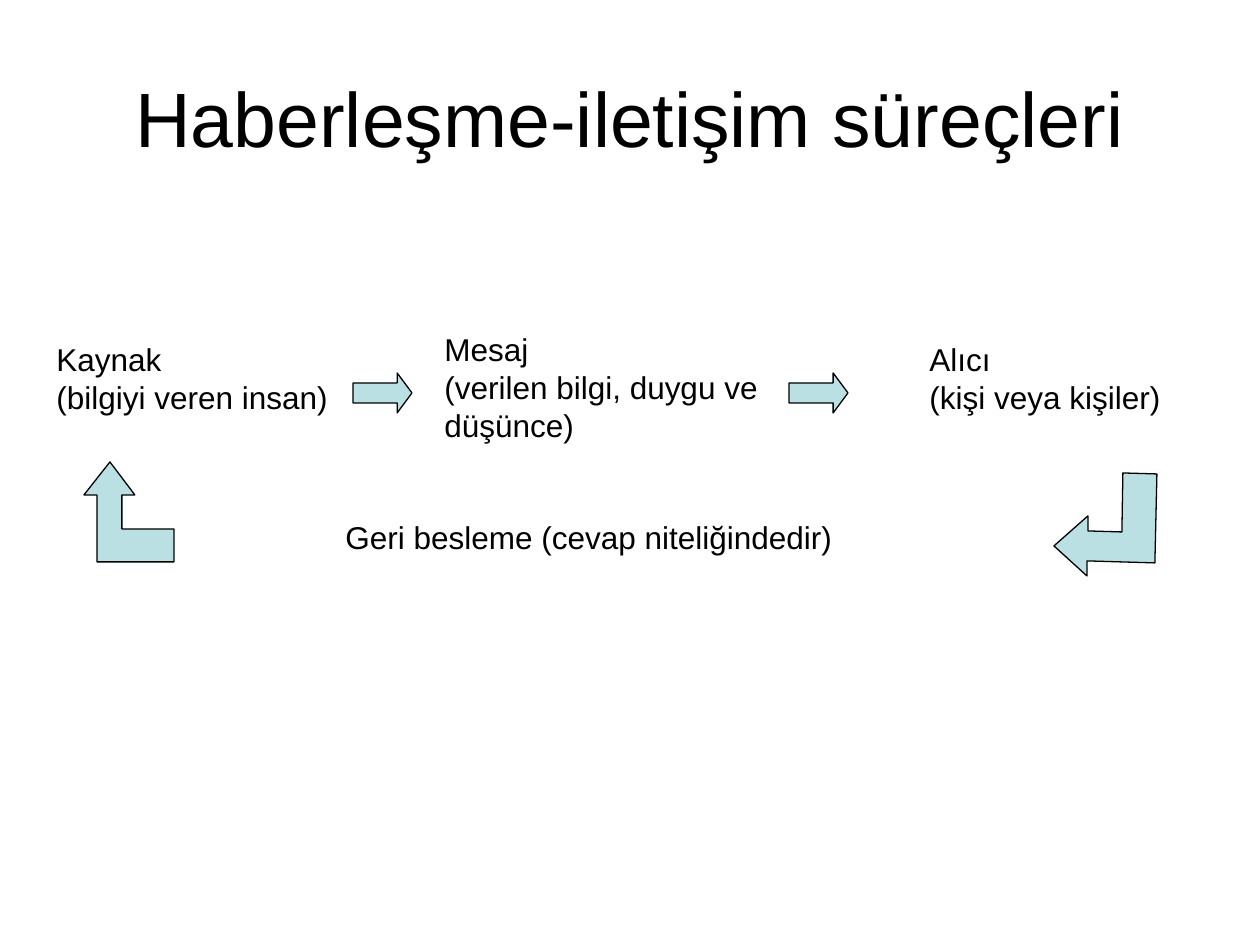
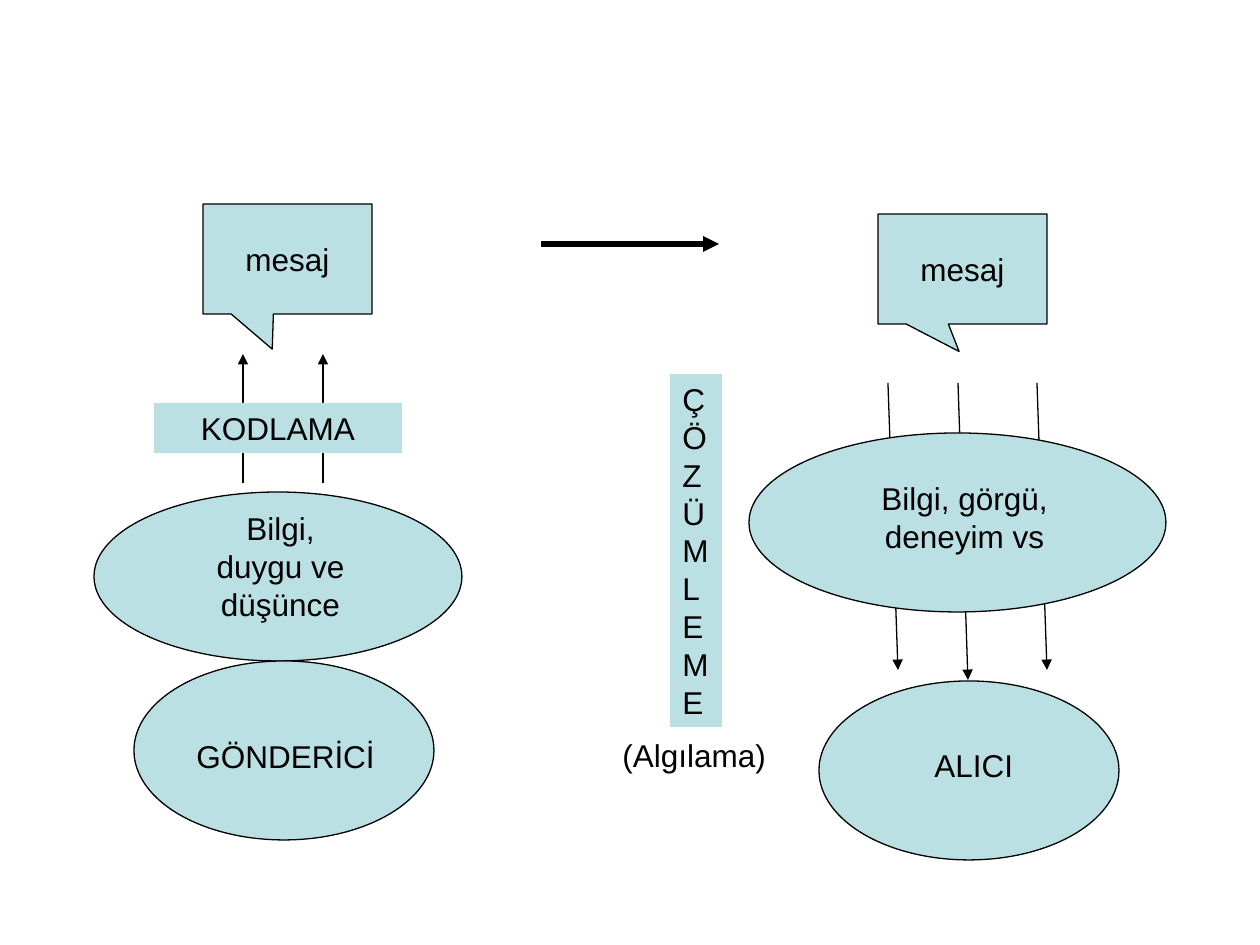
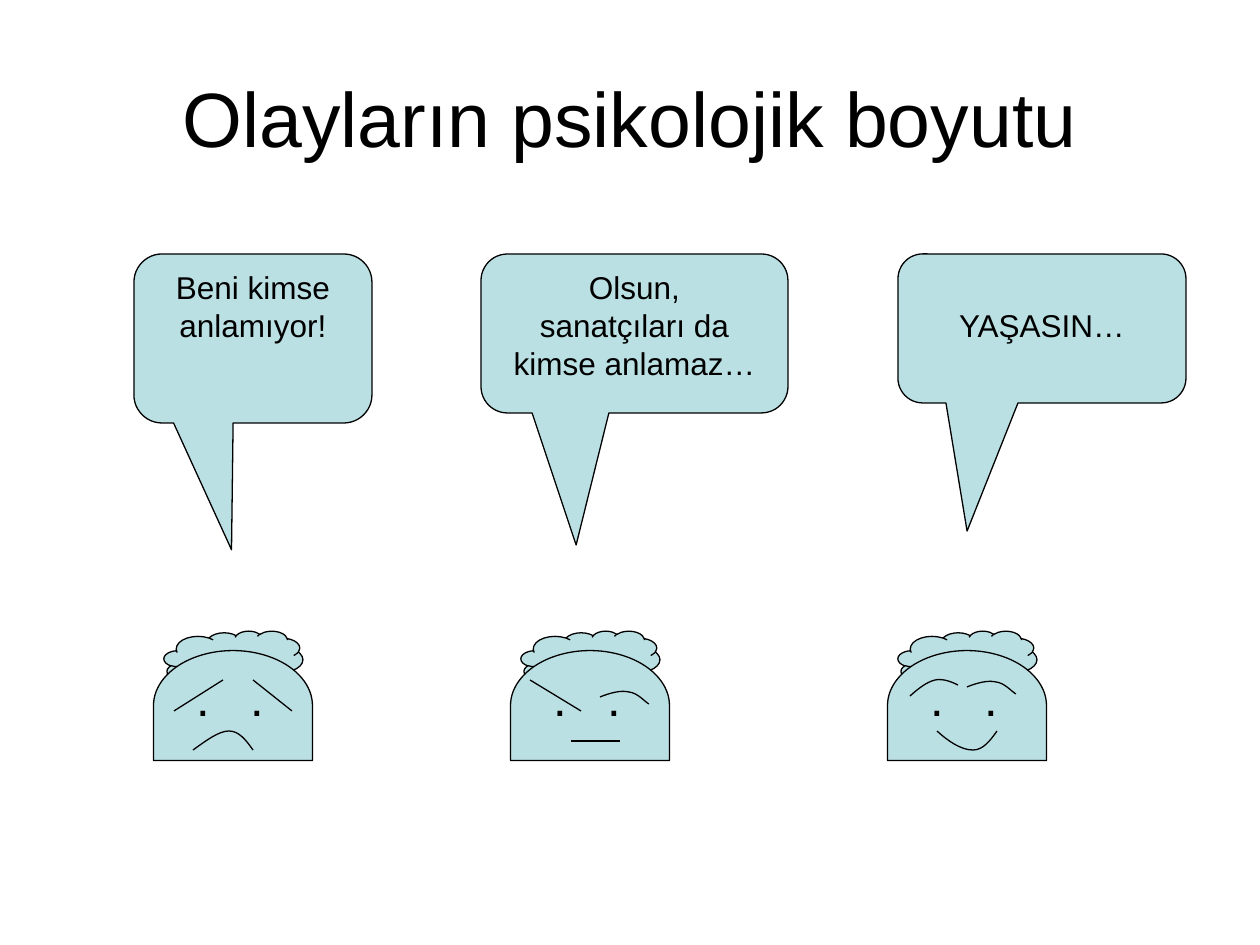
from pptx import Presentation
from pptx.dml.color import RGBColor
from pptx.enum.shapes import MSO_CONNECTOR, MSO_SHAPE as SHAPE
from pptx.enum.text import MSO_ANCHOR as ANCHOR, MSO_AUTO_SIZE as AUTO, PP_ALIGN as ALIGN
from pptx.oxml.ns import qn
from pptx.util import Emu, Pt
from lxml import etree

PX = 914400 / 126
FONT = "Arial"
COLORS = {"ink": "000000", "fill": "BBE0E3"}
FACE_TOP = 631


def px(n):
    return Emu(round(n * PX))


def rgb(name):
    return RGBColor.from_string(COLORS[name])


def write(tf, lines, size=18, align=ALIGN.LEFT, anchor=ANCHOR.TOP, wrap=True):
    tf.word_wrap = wrap
    if not wrap:
        tf.auto_size = AUTO.SHAPE_TO_FIT_TEXT
    tf.vertical_anchor = anchor
    for i, line in enumerate(lines.split("\n")):
        p = tf.paragraphs[0] if i == 0 else tf.add_paragraph()
        p.alignment = align
        r = p.add_run()
        r.text = line
        r.font.name = FONT
        r.font.size = Pt(size)
        r.font.color.rgb = rgb("ink")


def add_text(s, box, lines, **style):
    tb = s.shapes.add_textbox(*map(px, box))
    write(tb.text_frame, lines, **style)
    return tb


def add_title(s, text):
    add_text(s, (63, 38, 1134, 158), text, size=44, align=ALIGN.CENTER, anchor=ANCHOR.MIDDLE)


def paint(sp, filled=True, outlined=True):
    sp.shadow.inherit = False
    if filled:
        sp.fill.solid()
        sp.fill.fore_color.rgb = rgb("fill")
    else:
        sp.fill.background()
    if outlined:
        sp.line.color.rgb = rgb("ink")
        sp.line.width = Pt(0.75)
    else:
        sp.line.fill.background()


def add_figure(s, kind, box, adj=(), outlined=True):
    sp = s.shapes.add_shape(kind, *map(px, box))
    for i, value in enumerate(adj):
        sp.adjustments[i] = value
    paint(sp, outlined=outlined)
    return sp


def add_line(s, x1, y1, x2, y2, width=0.75, arrow=False):
    cx = s.shapes.add_connector(MSO_CONNECTOR.STRAIGHT, px(x1), px(y1), px(x2), px(y2))
    cx.line.color.rgb = rgb("ink")
    cx.line.width = Pt(width)
    if arrow:
        etree.SubElement(cx.line._get_or_add_ln(), qn("a:tailEnd"), type="triangle")
    etree.SubElement(cx._element.spPr, qn("a:effectLst"))


def add_outline(s, points, closed=True):
    """Draw a filled polygon, or an open stroke when not closed."""
    start, *rest = [(px(x), px(y)) for x, y in points]
    fb = s.shapes.build_freeform(*start)
    fb.add_line_segments(rest, close=closed)
    sp = fb.convert_to_shape()
    paint(sp, filled=closed)
    return sp


def add_curve(s, points):
    """Draw joined cubic curves: a start, then three points for each curve."""
    sp = add_outline(s, points, closed=False)
    segments = list(sp._element.iter(qn("a:lnTo")))
    for i in range(0, len(segments), 3):
        cubic = etree.SubElement(segments[i].getparent(), qn("a:cubicBezTo"))
        for segment in segments[i:i + 3]:
            cubic.append(segment[0])
            segment.getparent().remove(segment)


def add_face(s, left, lines, curves):
    """Draw a head; lines and curves are measured from its top left."""
    add_figure(s, SHAPE.CLOUD_CALLOUT, (left + 10, FACE_TOP, 139, 59), (-0.44, 0.7))
    head = add_figure(s, SHAPE.FLOWCHART_DELAY, (left + 24, FACE_TOP - 5, 110, 159))
    head.rotation = 270
    eyes = add_text(s, (left + 30, FACE_TOP + 30, 93, 72), ".\t.", size=28)
    pPr = eyes.text_frame.paragraphs[0]._p.get_or_add_pPr()
    tabs = etree.SubElement(pPr, qn("a:tabLst"))
    etree.SubElement(tabs, qn("a:tab"), pos=str(px(54)), algn="l")
    for x1, y1, x2, y2 in lines:
        add_line(s, left + x1, FACE_TOP + y1, left + x2, FACE_TOP + y2)
    for curve in curves:
        add_curve(s, [(left + x, FACE_TOP + y) for x, y in curve])


def build_process(s):
    add_title(s, "Haberleşme-iletişim süreçleri")
    add_text(s, (44, 334, 307, 88), "Kaynak\n(bilgiyi veren insan)")
    add_text(s, (432, 324, 367, 126), "Mesaj\n(verilen bilgi, duygu ve düşünce)")
    add_text(s, (917, 334, 268, 88), "Alıcı\n(kişi veya kişiler)")
    for x in (353, 789):
        add_figure(s, SHAPE.RIGHT_ARROW, (x, 373, 59, 40), (0.5, 0.37))
    add_text(s, (333, 512, 512, 50), "Geri besleme (cevap niteliğindedir)", wrap=False)
    add_outline(s, [(110, 462), (135, 495), (122, 495), (122, 529), (174, 529),
                    (174, 562), (97, 562), (97, 495), (84, 495)])
    add_outline(s, [(1054, 546), (1088, 516), (1088, 531), (1122, 532), (1123, 473),
                    (1157, 474), (1155, 563), (1087, 561), (1087, 576)])


def build_coding(s):
    for x, bottom in ((888, 670), (1037, 670), (958, 680)):
        add_line(s, x, 383, x + 10, bottom, arrow=True)
    for x in (323, 243):
        add_line(s, x, 483, x, 354, arrow=True)
    for box in ((94, 492, 368, 169), (134, 661, 300, 179),
                (749, 433, 417, 179), (819, 681, 300, 179)):
        add_figure(s, SHAPE.OVAL, box)
    for x, y, adj in ((203, 204, (-0.09, 0.82)), (878, 214, (-0.02, 0.75))):
        add_figure(s, SHAPE.RECTANGULAR_CALLOUT, (x, y, 169, 110), adj)
        add_text(s, (x + 30, y + 30, 110, 50), "mesaj", wrap=False)
    add_text(s, (862, 473, 205, 88), "Bilgi, görgü, deneyim vs", align=ALIGN.CENTER)
    add_text(s, (193, 503, 175, 126), "Bilgi, duygu ve düşünce", align=ALIGN.CENTER)
    for box, label, align in (((154, 403, 248, 50), "KODLAMA", ALIGN.CENTER),
                              ((670, 374, 52, 353), "ÇÖZÜMLEME", ALIGN.LEFT)):
        band = add_figure(s, SHAPE.RECTANGLE, box, outlined=False)
        write(band.text_frame, label, align=align)
    add_line(s, 541, 244, 719, 244, width=3, arrow=True)
    for box, label in (((610, 730, 169, 50), "(Algılama)"),
                       ((184, 731, 205, 50), "GÖNDERİCİ"),
                       ((922, 740, 105, 50), "ALICI")):
        add_text(s, box, label, wrap=False)


def build_moods(s):
    add_title(s, "Olayların psikolojik boyutu")
    bubbles = (
        (134, 238, 169, (-0.09, 1.25), "Beni kimse anlamıyor!", ANCHOR.TOP),
        (481, 307, 159, (-0.19, 1.33), "Olsun,\nsanatçıları da kimse anlamaz…", ANCHOR.TOP),
        (898, 288, 149, (-0.26, 1.36), "YAŞASIN…", ANCHOR.MIDDLE),
    )
    for x, w, h, adj, words, anchor in bubbles:
        sp = add_figure(s, SHAPE.ROUNDED_RECTANGULAR_CALLOUT, (x, 254, w, h), adj)
        write(sp.text_frame, words, align=ALIGN.CENTER, anchor=anchor)
        sp.text_frame.margin_bottom = px(14)

    frown = [(39, 119), (53, 109), (65, 100), (75, 100), (85, 100), (92, 109), (99, 119)]
    raised_brow = [(89, 66), (99, 62), (110, 59), (118, 61), (127, 62), (134, 71), (138, 73)]
    smile = [(49, 100), (60, 110), (73, 119), (85, 119), (95, 119), (102, 110), (109, 100)]
    left_brow = [(22, 65), (31, 57), (39, 51), (47, 49), (56, 47), (66, 52), (70, 54)]
    right_brow = [(x - 10, y - 10) for x, y in raised_brow]
    add_face(s, 154, [(20, 80, 69, 49), (99, 49, 138, 80)], [frown])
    add_face(s, 511, [(19, 49, 70, 80), (60, 110, 109, 110)], [raised_brow])
    add_face(s, 888, [], [smile, left_brow, right_brow])


def main():
    prs = Presentation()
    prs.slide_width, prs.slide_height = px(1260), px(945)
    for build in (build_process, build_coding, build_moods):
        build(prs.slides.add_slide(prs.slide_layouts[6]))
    prs.save("out.pptx")


if __name__ == "__main__":
    main()
